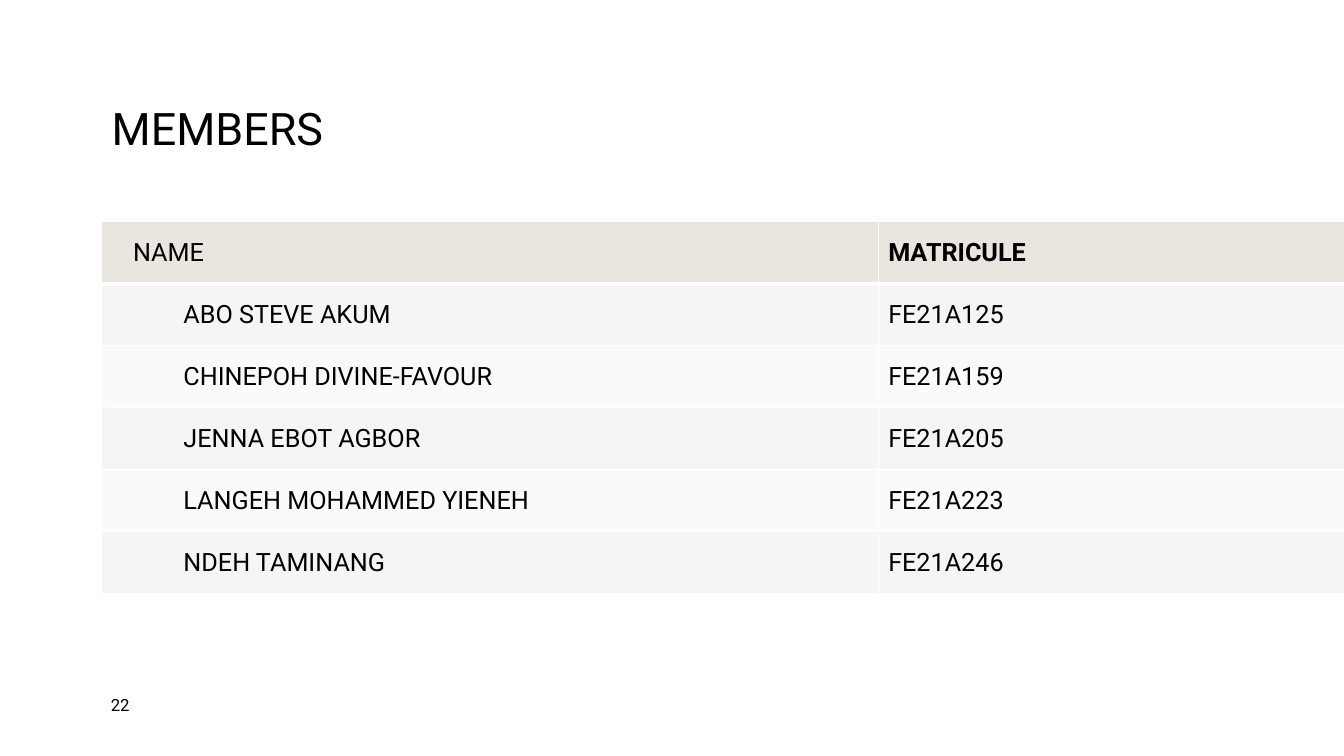
from dataclasses import dataclass

from lxml.etree import SubElement
from pptx import Presentation
from pptx.dml.color import RGBColor
from pptx.enum.text import MSO_ANCHOR as Anchor
from pptx.oxml.ns import qn
from pptx.slide import Slide
from pptx.table import _Cell as Cell
from pptx.text.text import TextFrame
from pptx.util import Inches, Pt

SLIDE_WIDTH, SLIDE_HEIGHT = Inches(13.33), Inches(7.5)


@dataclass(frozen=True)
class Theme:
    font: str = "Roboto"
    ink: str = "000000"
    rule: str = "FFFFFF"
    header: str = "E9E6DF"
    bands: tuple[str, str] = ("F7F5F3", "FBFAF9")
    title_size: int = 32
    body_size: int = 18
    number_size: int = 12
    thin_rule: int = 1
    thick_rule: int = 3


@dataclass(frozen=True)
class Area:
    """A rectangle in shares of the slide's width and height."""
    left: float
    top: float
    width: float
    height: float

    def box(self) -> tuple[int, int, int, int]:
        return (round(self.left * SLIDE_WIDTH), round(self.top * SLIDE_HEIGHT),
                round(self.width * SLIDE_WIDTH), round(self.height * SLIDE_HEIGHT))


@dataclass(frozen=True)
class Member:
    name: str
    matricule: str


THEME = Theme()
TITLE_AREA = Area(1.01 / 13.33, 0.64 / 7.5, 11.32 / 13.33, 1.32 / 7.5)
TABLE_AREA = Area(1.01 / 13.33, 2.2 / 7.5, 11.29 / 13.33, 3.69 / 7.5)
NUMBER_AREA = Area(1 / 13.33, 6.83 / 7.5, 0.69 / 13.33, 0.32 / 7.5)
NAME_SHARE = 7.7 / 11.29
NAME_MARGIN, NAME_INDENT = Inches(0.31), Inches(0.5)

MEMBERS = [
    Member("ABO STEVE AKUM", "FE21A125"),
    Member("CHINEPOH DIVINE-FAVOUR", "FE21A159"),
    Member("JENNA EBOT AGBOR", "FE21A205"),
    Member("LANGEH MOHAMMED YIENEH", "FE21A223"),
    Member("NDEH TAMINANG", "FE21A246"),
]


def write_text(frame: TextFrame, text: str, *, size: int, bold: bool = False,
               indent: int = 0, line_spacing: float = 1.0) -> None:
    paragraph = frame.paragraphs[0]
    paragraph.line_spacing = line_spacing
    if indent:
        paragraph.level = 1
        properties = paragraph._p.get_or_add_pPr()
        properties.set("marL", str(indent))
        properties.set("indent", "0")
    run = paragraph.add_run()
    run.text = text
    run.font.name = THEME.font
    run.font.size = Pt(size)
    run.font.bold = bold
    run.font.color.rgb = RGBColor.from_string(THEME.ink)


def add_label(slide: Slide, area: Area, text: str, *, size: int,
              line_spacing: float = 1.0) -> None:
    frame = slide.shapes.add_textbox(*area.box()).text_frame
    frame.word_wrap = True
    frame.vertical_anchor = Anchor.MIDDLE
    write_text(frame, text, size=size, line_spacing=line_spacing)


def style_cell(cell: Cell, fill: str, *, top: int, bottom: int) -> None:
    cell.vertical_anchor = Anchor.MIDDLE
    cell.fill.solid()
    cell.fill.fore_color.rgb = RGBColor.from_string(fill)
    properties = cell._tc.get_or_add_tcPr()
    edges = {"a:lnL": THEME.thin_rule, "a:lnR": THEME.thin_rule,
             "a:lnT": top, "a:lnB": bottom}
    # Borders stand before the fill in the cell's properties
    for position, (edge, width) in enumerate(edges.items()):
        line = SubElement(properties, qn(edge), w=str(Pt(width)))
        solid = SubElement(line, qn("a:solidFill"))
        SubElement(solid, qn("a:srgbClr"), val=THEME.rule)
        properties.insert(position, line)


def add_member_table(slide: Slide, area: Area, members: list[Member]) -> None:
    rows = [Member("NAME", "MATRICULE"), *members]
    frame = slide.shapes.add_table(len(rows), 2, *area.box())
    table = frame.table
    table.columns[0].width = round(frame.width * NAME_SHARE)
    table.columns[1].width = frame.width - table.columns[0].width

    for index, member in enumerate(rows):
        is_header = index == 0
        fill = THEME.header if is_header else THEME.bands[(index - 1) % 2]
        name_cell, matricule_cell = table.rows[index].cells
        for cell in (name_cell, matricule_cell):
            style_cell(cell, fill,
                       top=THEME.thick_rule if index == 1 else THEME.thin_rule,
                       bottom=THEME.thick_rule if is_header else THEME.thin_rule)
        name_cell.margin_left = NAME_MARGIN
        write_text(name_cell.text_frame, member.name, size=THEME.body_size,
                   indent=0 if is_header else NAME_INDENT)
        write_text(matricule_cell.text_frame, member.matricule,
                   size=THEME.body_size, bold=is_header)


def main() -> None:
    presentation = Presentation()
    presentation.slide_width, presentation.slide_height = SLIDE_WIDTH, SLIDE_HEIGHT
    slide = presentation.slides.add_slide(presentation.slide_layouts[6])

    # Title, table and page number
    add_label(slide, TITLE_AREA, "MEMBERS", size=THEME.title_size, line_spacing=0.9)
    add_member_table(slide, TABLE_AREA, MEMBERS)
    add_label(slide, NUMBER_AREA, "22", size=THEME.number_size)

    presentation.save("out.pptx")


if __name__ == "__main__":
    main()
